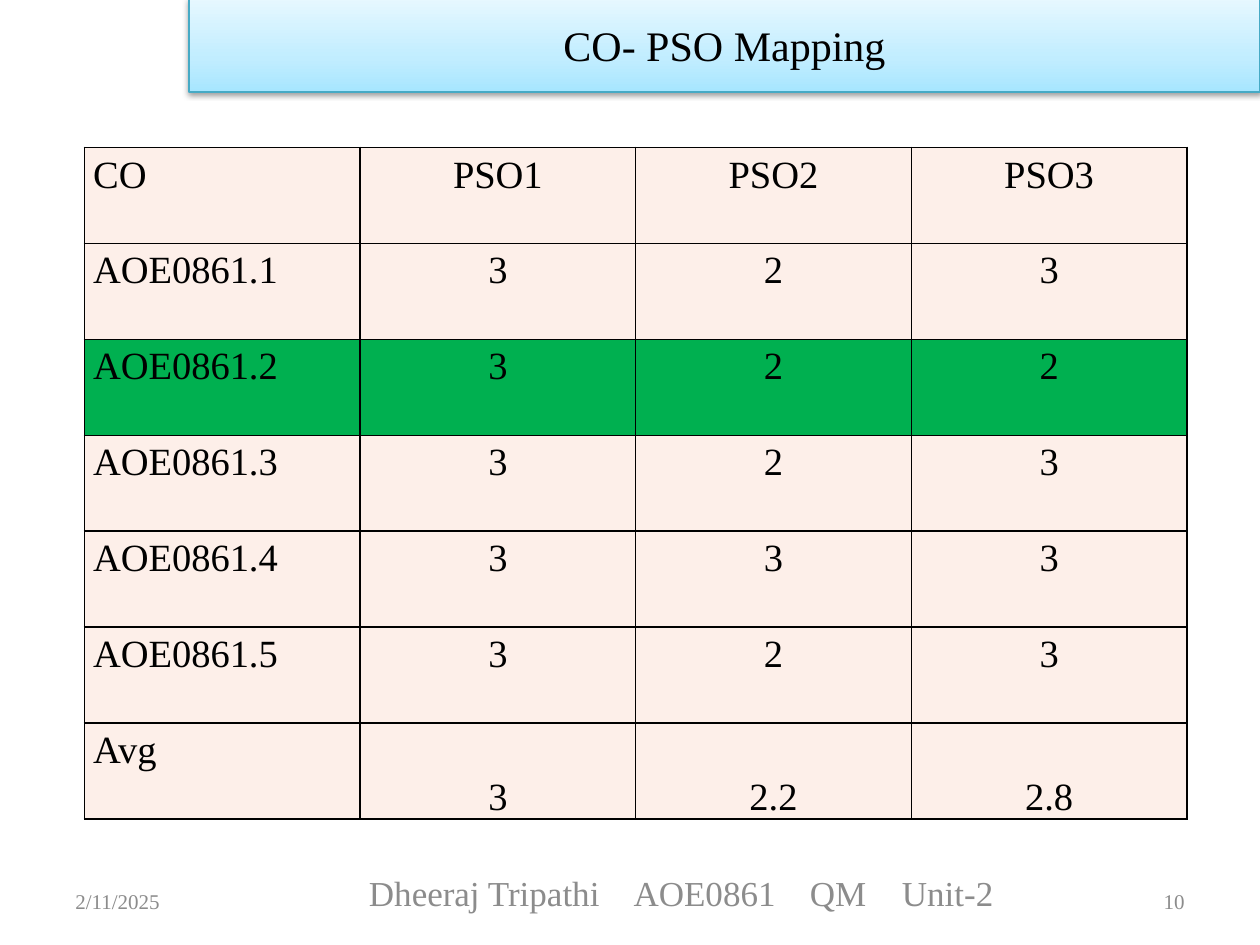
from copy import deepcopy
from dataclasses import dataclass

from lxml import etree
from pptx import Presentation
from pptx.dml.color import RGBColor
from pptx.enum.text import MSO_ANCHOR, PP_ALIGN
from pptx.oxml.ns import qn
from pptx.util import Inches, Pt

LEFT, CENTER, RIGHT = PP_ALIGN.LEFT, PP_ALIGN.CENTER, PP_ALIGN.RIGHT
TOP, MIDDLE, BOTTOM = MSO_ANCHOR.TOP, MSO_ANCHOR.MIDDLE, MSO_ANCHOR.BOTTOM
TITLE_ONLY = 5


@dataclass(frozen=True)
class Theme:
    font: str = "Times New Roman"
    ink: str = "000000"
    muted: str = "8C8C8C"
    banner_stops: tuple = ((0, "A7E6FF"), (0.35, "C1EDFF"), (1, "E7F8FF"))
    banner_line: str = "46AAC5"
    cell: str = "FDEFE9"
    highlight: str = "00B050"
    title_size: int = 24
    table_size: int = 22
    footer_size: int = 20
    small_size: int = 12


def add_element(parent, tag, **attributes):
    return etree.SubElement(parent, qn(tag), attributes)


class MappingSlide:
    """Holds the theme and the current slide, and adds each kind of element."""

    def __init__(self, presentation, theme):
        self.theme = theme
        self.slide = presentation.slides.add_slide(presentation.slide_layouts[TITLE_ONLY])

    def style(self, paragraph, size, color, align):
        paragraph.alignment = align
        paragraph.font.name = self.theme.font
        paragraph.font.size = Pt(size)
        paragraph.font.color.rgb = RGBColor.from_string(color)

    def banner(self, text, left, top, width, height):
        title = self.slide.shapes.title
        title.left, title.top = Inches(left), Inches(top)
        title.width, title.height = Inches(width), Inches(height)
        title.text_frame.text = text
        title.text_frame.vertical_anchor = MIDDLE
        self.style(title.text_frame.paragraphs[0], self.theme.title_size, self.theme.ink, CENTER)

        title.fill.gradient()
        title.fill.gradient_angle = 90
        last_stop = title._element.spPr.findall(".//" + qn("a:gs"))[-1]
        last_stop.addnext(deepcopy(last_stop))
        for stop, (position, color) in zip(title.fill.gradient_stops, self.theme.banner_stops):
            stop.position = position
            stop.color.rgb = RGBColor.from_string(color)
        title.line.color.rgb = RGBColor.from_string(self.theme.banner_line)
        title.line.width = Pt(0.75)

        title.shadow.inherit = False
        effects = title._element.spPr.find(qn("a:effectLst"))
        shadow = add_element(effects, "a:outerShdw", blurRad=str(Pt(3.1)), dist=str(Pt(1.6)),
                             dir="5400000", rotWithShape="0")
        shade = add_element(shadow, "a:srgbClr", val=self.theme.ink)
        add_element(shade, "a:alpha", val="38000")

    def label(self, text, left, top, width, height, size, align=LEFT, anchor=MIDDLE, tabs=()):
        box = self.slide.shapes.add_textbox(Inches(left), Inches(top), Inches(width), Inches(height))
        frame = box.text_frame
        frame.word_wrap = True
        frame.vertical_anchor = anchor
        if anchor == TOP:
            frame.margin_top = 0
        frame.text = text
        paragraph = frame.paragraphs[0]
        if tabs:
            tab_list = add_element(paragraph._p.get_or_add_pPr(), "a:tabLst")
            for position in tabs:
                add_element(tab_list, "a:tab", pos=str(Inches(position)), algn="l")
        self.style(paragraph, size, self.theme.muted, align)

    def border(self, cell):
        properties = cell._tc.get_or_add_tcPr()
        for index, side in enumerate(("a:lnL", "a:lnR", "a:lnT", "a:lnB")):
            line = etree.Element(qn(side), w=str(Pt(1)))
            fill = add_element(line, "a:solidFill")
            add_element(fill, "a:srgbClr", val=self.theme.ink)
            properties.insert(index, line)

    def cell(self, cell, text, align, anchor, space_after, fill):
        cell.text = text
        cell.vertical_anchor = anchor
        cell.margin_left = cell.margin_right = Inches(0.07)
        cell.margin_top = cell.margin_bottom = 0
        paragraph = cell.text_frame.paragraphs[0]
        paragraph.line_spacing = 1.15
        paragraph.space_after = Pt(space_after)
        self.style(paragraph, self.theme.table_size, self.theme.ink, align)
        cell.fill.solid()
        cell.fill.fore_color.rgb = RGBColor.from_string(fill)
        self.border(cell)

    def table(self, records, highlighted, left, top, width, height):
        table = self.slide.shapes.add_table(len(records), len(records[0]), Inches(left),
                                            Inches(top), Inches(width), Inches(height)).table
        table.first_row = table.horz_banding = False
        last = len(records) - 1
        for r, record in enumerate(records):
            fill = self.theme.highlight if record[0] == highlighted else self.theme.cell
            for c, value in enumerate(record):
                is_average = r == last and c > 0
                is_outcome = 0 < r < last and c == 0
                self.cell(table.cell(r, c), value, CENTER if c else LEFT,
                          BOTTOM if is_average else TOP,
                          10 if is_average or is_outcome else 0, fill)


def main():
    presentation = Presentation()
    presentation.slide_width, presentation.slide_height = Inches(10), Inches(7.5)
    theme = Theme()
    mapping = MappingSlide(presentation, theme)

    mapping.label("Dheeraj Tripathi\tAOE0861\tQM\tUnit-2", 2.83, 6.92, 6, 0.58,
                  theme.footer_size, anchor=TOP, tabs=(2.1, 3.5, 4.23))
    mapping.label("10", 7.17, 6.95, 2.33, 0.4, theme.small_size, RIGHT)
    mapping.banner("CO- PSO Mapping", 1.5, -0.02, 8.5, 0.75)
    outcomes = (
        ("CO", "PSO1", "PSO2", "PSO3"),
        ("AOE0861.1", "3", "2", "3"),
        ("AOE0861.2", "3", "2", "2"),
        ("AOE0861.3", "3", "2", "3"),
        ("AOE0861.4", "3", "3", "3"),
        ("AOE0861.5", "3", "2", "3"),
        ("Avg", "3", "2.2", "2.8"),
    )
    mapping.table(outcomes, "AOE0861.2", 0.67, 1.17, 8.75, 5.33)
    mapping.label("2/11/2025", 0.5, 6.95, 2.33, 0.4, theme.small_size)

    presentation.save("out.pptx")


if __name__ == "__main__":
    main()
